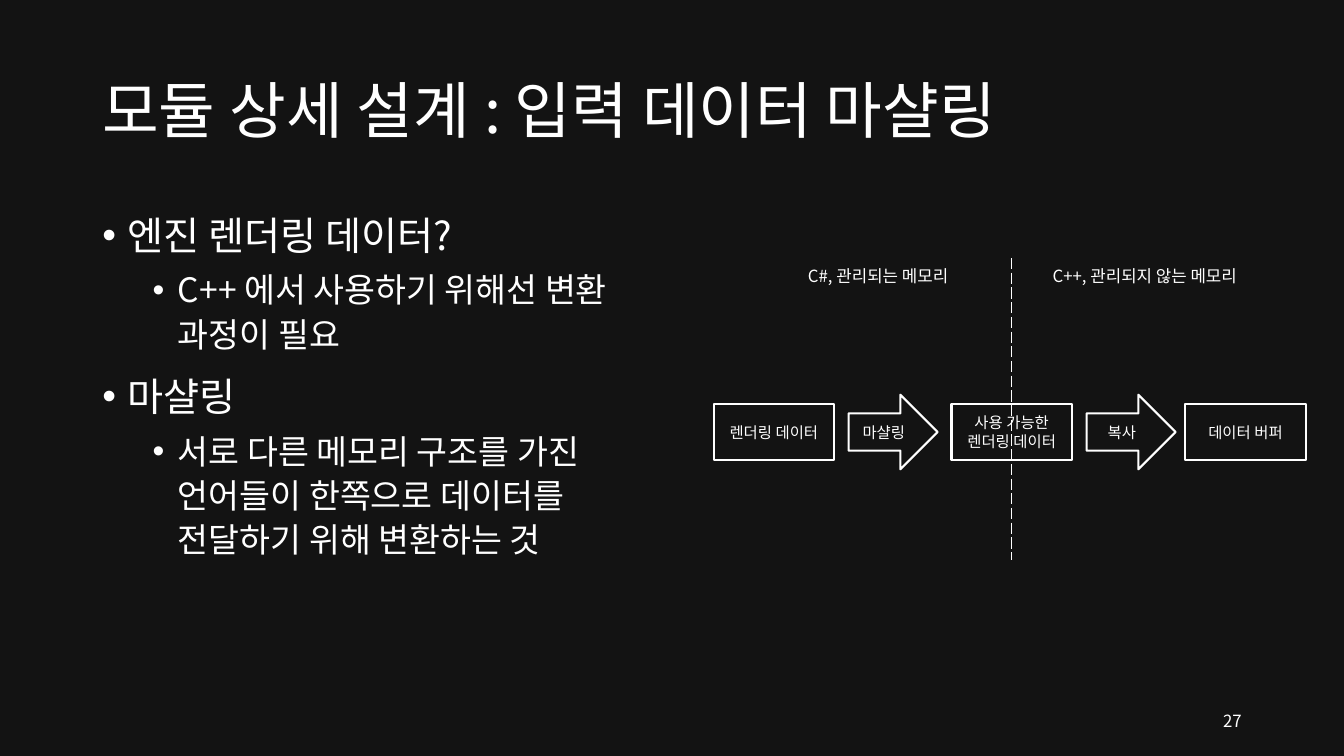
from lxml import etree
from pptx import Presentation
from pptx.dml.color import RGBColor
from pptx.enum.shapes import MSO_SHAPE as SHAPE
from pptx.enum.text import MSO_ANCHOR as ANCHOR, PP_ALIGN as ALIGN
from pptx.oxml import parse_xml
from pptx.oxml.ns import nsdecls, qn
from pptx.util import Pt

FONT = "Noto Sans CJK KR"
COLORS = {"back": "131313", "ink": "FFFFFF"}
NO_TABLE_STYLE = "{2D5ABB26-0587-4C30-8999-92F81FD0307C}"

TITLE = "모듈 상세 설계 : 입력 데이터 마샬링"
PAGE = "27"
BULLETS = [  # level, text
    (0, "엔진 렌더링 데이터?"),
    (1, "C++ 에서 사용하기 위해선 변환 과정이 필요"),
    (0, "마샬링"),
    (1, "서로 다른 메모리 구조를 가진 언어들이 한쪽으로 데이터를 전달하기 위해 변환하는 것"),
]
LEVELS = [  # size, space before, left margin
    (28, 10, 18),
    (24, 5, 54),
]
MEMORY_SIDES = ["C#, 관리되는 메모리", "C++, 관리되지 않는 메모리"]
FLOW = [  # kind, left, lines
    ("box", 509.8, ["렌더링 데이터"]),
    ("arrow", 606.2, ["마샬링"]),
    ("box", 679.7, ["사용 가능한", "렌더링 데이터"]),
    ("arrow", 776.2, ["복사"]),
    ("box", 846.7, ["데이터 버퍼"]),
]
KINDS = {  # preset, width, height
    "box": (SHAPE.RECTANGLE, 86, 40.4),
    "arrow": (SHAPE.RIGHT_ARROW, 63.6, 53.3),
}
FLOW_MIDDLE = 308.6


def rgb(name):
    return RGBColor.from_string(COLORS[name])


def write(p, text, size, **formats):
    """Put one styled run in a paragraph, then apply paragraph formats."""
    for name, value in formats.items():
        setattr(p, name, value)
    r = p.add_run()
    r.text = text
    for name, value in {"name": FONT, "size": Pt(size)}.items():
        setattr(r.font, name, value)
    r.font.color.rgb = rgb("ink")
    etree.SubElement(r.font._element, qn("a:ea"), typeface=FONT)


def add_box(slide, left, top, width, height, anchor):
    tf = slide.shapes.add_textbox(Pt(left), Pt(top), Pt(width), Pt(height)).text_frame
    for name, value in {"word_wrap": True, "vertical_anchor": anchor}.items():
        setattr(tf, name, value)
    return tf


def add_bullets(slide):
    tf = add_box(slide, 66, 144, 414, 342.6, ANCHOR.TOP)
    for i, (level, text) in enumerate(BULLETS):
        p = tf.add_paragraph() if i else tf.paragraphs[0]
        size, before, margin = LEVELS[level]
        pPr = p._p.get_or_add_pPr()
        pPr.set("marL", str(Pt(margin)))
        pPr.set("indent", str(Pt(-18)))
        etree.SubElement(pPr, qn("a:buFont"), typeface="Arial")
        etree.SubElement(pPr, qn("a:buChar"), char="•")
        write(p, text, size, level=level, line_spacing=1.1,
              space_before=Pt(before if i else 0))


def dash_border(cell, side):
    cell._tc.get_or_add_tcPr().insert(0, parse_xml(
        f'<a:{side} {nsdecls("a")} w="{Pt(1)}"><a:solidFill>'
        f'<a:srgbClr val="{COLORS["ink"]}"/></a:solidFill>'
        f'<a:prstDash val="sysDash"/></a:{side}>'))


def add_memory_table(slide):
    frame = slide.shapes.add_table(1, 2, Pt(532), Pt(184.3), Pt(381), Pt(216))
    table = frame.table
    table.first_row = table.horz_banding = False
    table._tbl.tblPr.find(qn("a:tableStyleId")).text = NO_TABLE_STYLE
    for cell, text, side in zip(table.rows[0].cells, MEMORY_SIDES, ("lnR", "lnL")):
        cell.fill.background()
        dash_border(cell, side)
        write(cell.text_frame.paragraphs[0], text, 12, alignment=ALIGN.CENTER)


def add_flow(slide):
    for kind, left, lines in FLOW:
        preset, width, height = KINDS[kind]
        sp = slide.shapes.add_shape(preset, Pt(left), Pt(FLOW_MIDDLE - height / 2),
                                    Pt(width), Pt(height))
        sp.shadow.inherit = False
        sp.fill.background()
        sp.line.color.rgb = rgb("ink")
        sp.line.width = Pt(1.5)
        tf = sp.text_frame
        tf.vertical_anchor = ANCHOR.MIDDLE
        for i, text in enumerate(lines):
            p = tf.add_paragraph() if i else tf.paragraphs[0]
            write(p, text, 11, alignment=ALIGN.CENTER)


def main():
    prs = Presentation()
    prs.slide_width, prs.slide_height = Pt(960), Pt(540)
    slide = prs.slides.add_slide(prs.slide_layouts[6])
    slide.background.fill.solid()
    slide.background.fill.fore_color.rgb = rgb("back")

    title = add_box(slide, 66, 28.8, 828, 104.4, ANCHOR.MIDDLE)
    write(title.paragraphs[0], TITLE, 44, line_spacing=0.9)
    page = add_box(slide, 678, 500.5, 216, 28.8, ANCHOR.MIDDLE)
    write(page.paragraphs[0], PAGE, 12, alignment=ALIGN.RIGHT)
    add_bullets(slide)
    add_memory_table(slide)
    add_flow(slide)
    prs.save("out.pptx")


if __name__ == "__main__":
    main()
